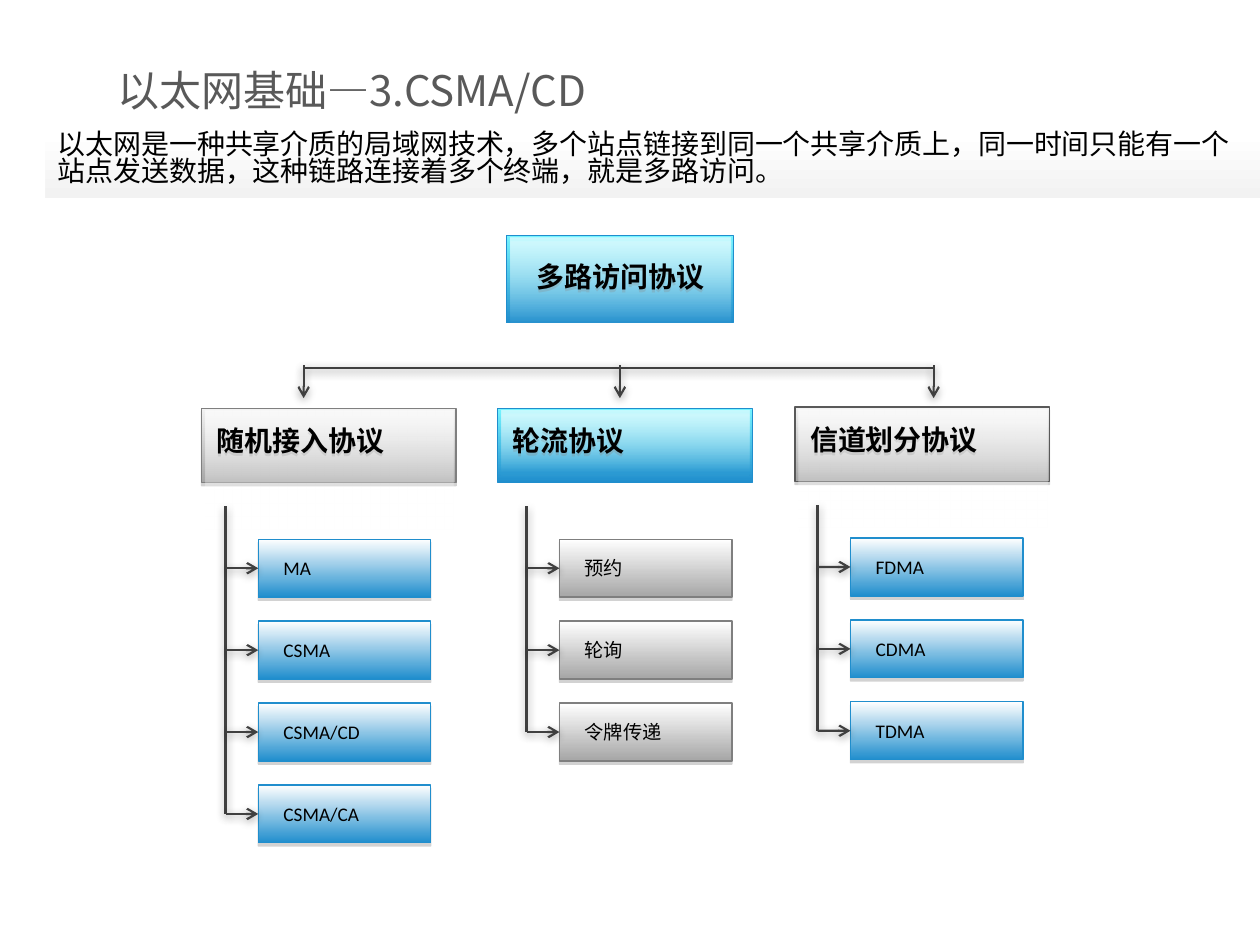
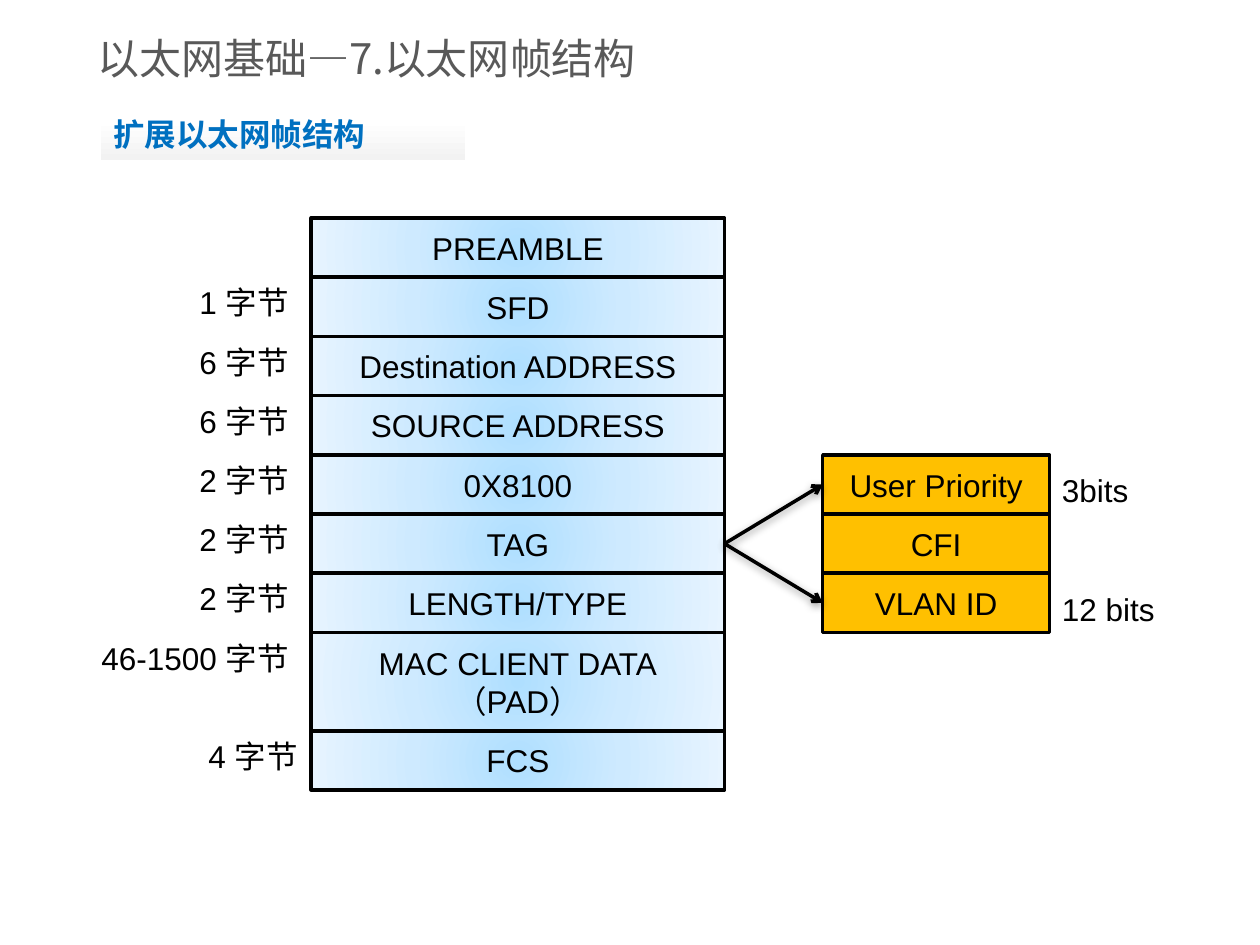
from lxml import etree
from pptx import Presentation
from pptx.dml.color import RGBColor
from pptx.enum.shapes import MSO_CONNECTOR, MSO_SHAPE
from pptx.enum.text import MSO_ANCHOR, MSO_AUTO_SIZE, PP_ALIGN
from pptx.oxml.ns import qn
from pptx.util import Inches, Pt

RECTANGLE = MSO_SHAPE.RECTANGLE
STRAIGHT = MSO_CONNECTOR.STRAIGHT
TOP, MIDDLE = MSO_ANCHOR.TOP, MSO_ANCHOR.MIDDLE
LEFT, CENTER, RIGHT = PP_ALIGN.LEFT, PP_ALIGN.CENTER, PP_ALIGN.RIGHT
LEFT_SIDE, RIGHT_SIDE = 1, 3

BLACK, TITLE_GREY, LINK_GREY = "000000", "595959", "404040"
BLUE, MID_GREY, AMBER, HEADING_BLUE = "208ECD", "7F7F7F", "FFC000", "0070C0"
BAND_FADE = [(9, "FFFFFF", 100), (100, "F2F2F2", 100)]
CYAN_FADE = [(0, "74F4FF", 100), (100, BLUE, 100)]
GREY_FADE = [(0, "F2F2F2", 100), (100, "A6A6A6", 100)]
BLUE_ITEM_FADE = [(0, "FFFFFF", 100), (100, BLUE, 100)]
GREY_ITEM_FADE = [(0, "FFFFFF", 100), (100, "A6A6A6", 100)]
GLOSS_FADE = [(0, "FFFFFF", 61), (10, "FFFFFF", 55), (100, "FFFFFF", 0)]
FIELD_GLOW = [(0, "AFDFFF", 100), (50, "CEEAFF", 100), (100, "E7F4FF", 100)]
BOX_SHADOW = ("808080", 35, 0, 1.8)
LINK_SHADOW = (BLACK, 38, 5, 1.6)
TITLE_FONT = "Noto Sans CJK SC"

ROW_HEIGHT = 0.47
ITEM_WIDTH, ITEM_HEIGHT, ITEM_PITCH = 1.37, 0.46, 0.65
FRAME_FIELDS = [
    ("PREAMBLE", ""),
    ("SFD", "1 字节"),
    ("Destination ADDRESS", "6 字节"),
    ("SOURCE ADDRESS", "6 字节"),
    ("0X8100", "2 字节"),
    ("TAG", "2 字节"),
    ("LENGTH/TYPE", "2 字节"),
    ("MAC CLIENT DATA\n（PAD）", "46-1500 字节"),
    ("FCS", "4 字节"),
]
TAG_FIELDS = [("User Priority", "3bits"), ("CFI", ""), ("VLAN ID", "12 bits")]


def color(hex_code):
    """Turn a hex string into a colour."""
    return RGBColor.from_string(hex_code)


def child(parent, tag, **attributes):
    """Append a drawing element with the given attributes."""
    element = etree.SubElement(parent, qn(tag))
    for key, value in attributes.items():
        element.set(key, str(value))
    return element


def child_color(parent, hex_code, alpha):
    """Append a colour with its opacity in percent."""
    shade = child(parent, "a:srgbClr", val=hex_code)
    if alpha < 100:
        child(shade, "a:alpha", val=alpha * 1000)


def fade(shape, stops, radial=False):
    """Fill a shape with a top-down or radial gradient."""
    shape.fill.background()
    properties = shape._element.spPr
    gradient = etree.Element(qn("a:gradFill"))
    stop_list = child(gradient, "a:gsLst")
    for position, hex_code, alpha in stops:
        child_color(child(stop_list, "a:gs", pos=position * 1000), hex_code, alpha)
    if radial:
        path = child(gradient, "a:path", path="circle")
        child(path, "a:fillToRect", l=50000, t=50000, r=50000, b=50000)
    else:
        child(gradient, "a:lin", ang=5400000, scaled=0)
    properties.replace(properties.find(qn("a:noFill")), gradient)


def cast_shadow(effects, shadow):
    """Add a soft downward shadow to an effect list."""
    hex_code, alpha, blur, distance = shadow
    outer = child(effects, "a:outerShdw", blurRad=Pt(blur), dist=Pt(distance),
                  dir=5400000, rotWithShape=0)
    child_color(outer, hex_code, alpha)


def write(frame, text, size, font, hex_code=BLACK, bold=False, align=LEFT,
          anchor=TOP, spacing=None, before=0):
    """Write formatted paragraphs into a text frame."""
    frame.text = text
    frame.word_wrap = True
    frame.vertical_anchor = anchor
    for paragraph in frame.paragraphs:
        paragraph.alignment = align
        paragraph.space_before = Pt(before)
        if spacing:
            paragraph.line_spacing = spacing
        paragraph.font.size = Pt(size)
        paragraph.font.name = font
        paragraph.font.bold = bold
        paragraph.font.color.rgb = color(hex_code)


def box(slide, left, top, width, height, fill, outline=None, weight=0.75,
        shadow=None, radial=False):
    """Draw a rectangle with a solid colour or a gradient."""
    shape = slide.shapes.add_shape(
        RECTANGLE, Inches(left), Inches(top), Inches(width), Inches(height))
    if isinstance(fill, str):
        shape.fill.solid()
        shape.fill.fore_color.rgb = color(fill)
    else:
        fade(shape, fill, radial)
    if outline:
        shape.line.color.rgb = color(outline)
        shape.line.width = Pt(weight)
    else:
        shape.line.fill.background()
    shape.shadow.inherit = False
    if shadow:
        cast_shadow(shape._element.spPr.find(qn("a:effectLst")), shadow)
    return shape


def link(slide, start, end, weight, hex_code=LINK_GREY, arrow=True,
         source=None, target=None):
    """Draw a shadowed line, joined to the boxes it touches."""
    line = slide.shapes.add_connector(
        STRAIGHT, Inches(start[0]), Inches(start[1]), Inches(end[0]), Inches(end[1]))
    if source is not None:
        line.begin_connect(source, RIGHT_SIDE)
    if target is not None:
        line.end_connect(target, LEFT_SIDE)
    line.line.color.rgb = color(hex_code)
    line.line.width = Pt(weight)
    if arrow:
        child(line.line._get_or_add_ln(), "a:tailEnd", type="arrow")
    cast_shadow(child(line._element.spPr, "a:effectLst"), LINK_SHADOW)


def note(slide, left, top, width, text, align=LEFT):
    """Place a field-size note beside a frame."""
    area = slide.shapes.add_textbox(
        Inches(left), Inches(top), Inches(width), Inches(0.4))
    write(area.text_frame, text, 18, "Arial", align=align)


def titled_slide(deck, left, top, title):
    """Add a slide with its title in the shared style."""
    slide = deck.slides.add_slide(deck.slide_layouts[5])
    heading = slide.shapes.title
    heading.left, heading.top = Inches(left), Inches(top)
    heading.width, heading.height = Inches(8.67), Inches(0.58)
    write(heading.text_frame, title, 24, TITLE_FONT, TITLE_GREY, anchor=MIDDLE)
    heading.text_frame.auto_size = MSO_AUTO_SIZE.NONE
    return slide


def band(slide, left, top, width, height, text, size, font, **style):
    """Add the pale band that carries a lead text."""
    strip = box(slide, left, top, width, height, BAND_FADE)
    write(strip.text_frame, text, size, font, spacing=0.82, before=3, **style)


def glossy_box(slide, left, top, width, height, gloss_height, text, fill,
               outline, shadow=None, align=LEFT, text_top=0.1):
    """Draw a box under a glossy layer that carries its label."""
    box(slide, left, top, width, height, fill, outline, shadow=shadow)
    gloss = box(slide, left + 0.03, top + 0.02, width - 0.05, gloss_height,
                GLOSS_FADE, shadow=BOX_SHADOW)
    frame = gloss.text_frame
    frame.margin_left = frame.margin_right = Inches(0.09)
    frame.margin_top = Inches(text_top)
    write(frame, text, 16, "Arial", bold=True, align=align)


def protocol_family(slide, left, top, trunk, name, members, header, item):
    """Draw a family header with its members hung on a trunk line."""
    fill, outline, shadow, gloss_height = header
    glossy_box(slide, left, top, 2.02, 0.59, gloss_height, name, fill, outline, shadow)
    item_fill, item_outline = item
    first_top = top + 1.04
    middles = [first_top + ITEM_HEIGHT / 2 + row * ITEM_PITCH
               for row in range(len(members))]
    link(slide, (trunk, middles[-1]), (trunk, top + 0.78), 1.5, arrow=False)
    for member, middle in zip(members, middles):
        entry = box(slide, trunk + 0.26, middle - ITEM_HEIGHT / 2, ITEM_WIDTH,
                    ITEM_HEIGHT, item_fill, item_outline, shadow=BOX_SHADOW)
        entry.text_frame.margin_left = Inches(0.2)
        write(entry.text_frame, member, 11, "Calibri", anchor=MIDDLE)
        link(slide, (trunk, middle), (trunk + 0.26, middle), 1.25, target=entry)


def field_stack(slide, left, top, width, fields, fill):
    """Stack frame fields, giving each line break extra height."""
    cells = []
    for field in fields:
        height = ROW_HEIGHT + 0.31 * field.count("\n")
        cell = box(slide, left, top, width, height, fill, BLACK, 2, radial=True)
        write(cell.text_frame, field, 18, "Arial", align=CENTER, anchor=MIDDLE)
        cells.append(cell)
        top += height
    return cells


def multiple_access_slide(deck):
    """Build the tree of multiple access protocols."""
    slide = titled_slide(deck, 0.83, 0.42, "以太网基础—3.CSMA/CD")
    band(slide, 0.36, 1, 9.64, 0.57,
         "以太网是一种共享介质的局域网技术，多个站点链接到同一个共享介质上，"
         "同一时间只能有一个站点发送数据，这种链路连接着多个终端，就是多路访问。",
         16, TITLE_FONT)
    glossy_box(slide, 4.02, 1.87, 1.8, 0.69, 0.69, "多路访问协议", CYAN_FADE, BLUE,
               align=CENTER, text_top=0.17)
    branches = (2.41, 4.92, 7.41)
    link(slide, (branches[0], 2.92), (branches[-1], 2.92), 1.5, arrow=False)
    for branch in branches:
        link(slide, (branch, 2.9), (branch, 3.16), 1.25)
    blue_item, grey_item = (BLUE_ITEM_FADE, BLUE), (GREY_ITEM_FADE, MID_GREY)
    protocol_family(slide, 1.6, 3.24, 1.79, "随机接入协议",
                    ["MA", "CSMA", "CSMA/CD", "CSMA/CA"],
                    (GREY_FADE, MID_GREY, BOX_SHADOW, 0.94), blue_item)
    protocol_family(slide, 3.95, 3.24, 4.18, "轮流协议",
                    ["预约", "轮询", "令牌传递"],
                    (CYAN_FADE, BLUE, None, 0.48), grey_item)
    protocol_family(slide, 6.31, 3.23, 6.49, "信道划分协议",
                    ["FDMA", "CDMA", "TDMA"],
                    (GREY_FADE, TITLE_GREY, BOX_SHADOW, 0.94), blue_item)


def frame_structure_slide(deck):
    """Build the extended Ethernet frame with its tag detail."""
    slide = titled_slide(deck, 0.67, 0.17, "以太网基础—7.以太网帧结构")
    band(slide, 0.8, 0.92, 2.89, 0.35, "扩展以太网帧结构", 18, "Arial",
         hex_code=HEADING_BLUE, bold=True)
    frame_cells = field_stack(slide, 2.47, 1.73, 3.28,
                              [name for name, _ in FRAME_FIELDS], FIELD_GLOW)
    for cell, (name, size) in zip(frame_cells, FRAME_FIELDS):
        if size:
            note_left = 0.58 if name == "FCS" else 0.51
            note(slide, note_left, cell.top.inches, 1.88, size, RIGHT)
    tag_cells = field_stack(slide, 6.53, 3.61, 1.8,
                            [name for name, _ in TAG_FIELDS], AMBER)
    tag = frame_cells[5]
    for cell, (_, size) in zip(tag_cells, TAG_FIELDS):
        if size:
            note(slide, 8.33, cell.top.inches + 0.08, 1.56, size)
            link(slide, (5.75, 4.31), (6.53, cell.top.inches + ROW_HEIGHT / 2), 2,
                 BLACK, source=tag, target=cell)


def main():
    """Build and save the deck."""
    deck = Presentation()
    deck.slide_width, deck.slide_height = Inches(10), Inches(7.5)
    multiple_access_slide(deck)
    frame_structure_slide(deck)
    deck.save("out.pptx")


if __name__ == "__main__":
    main()
